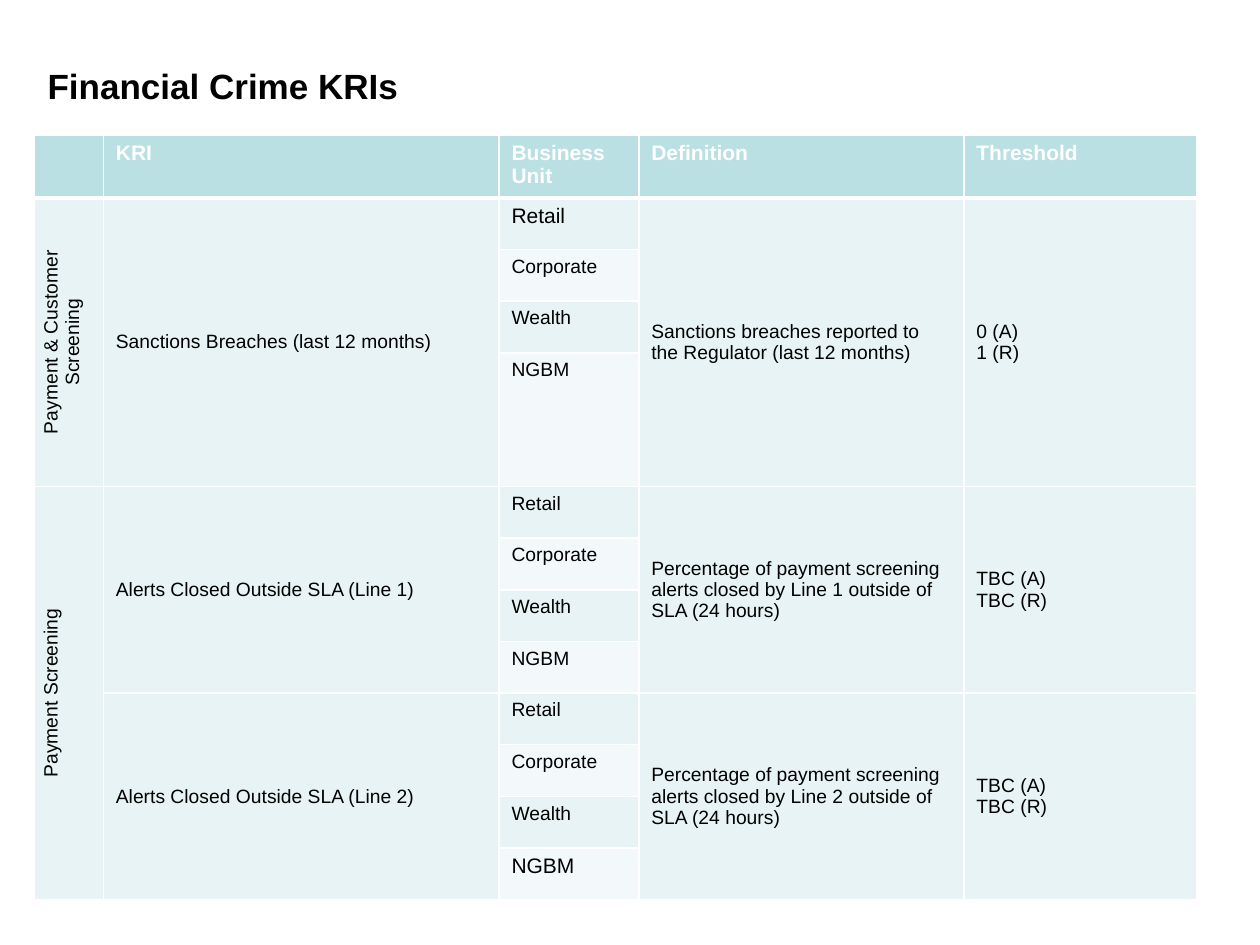
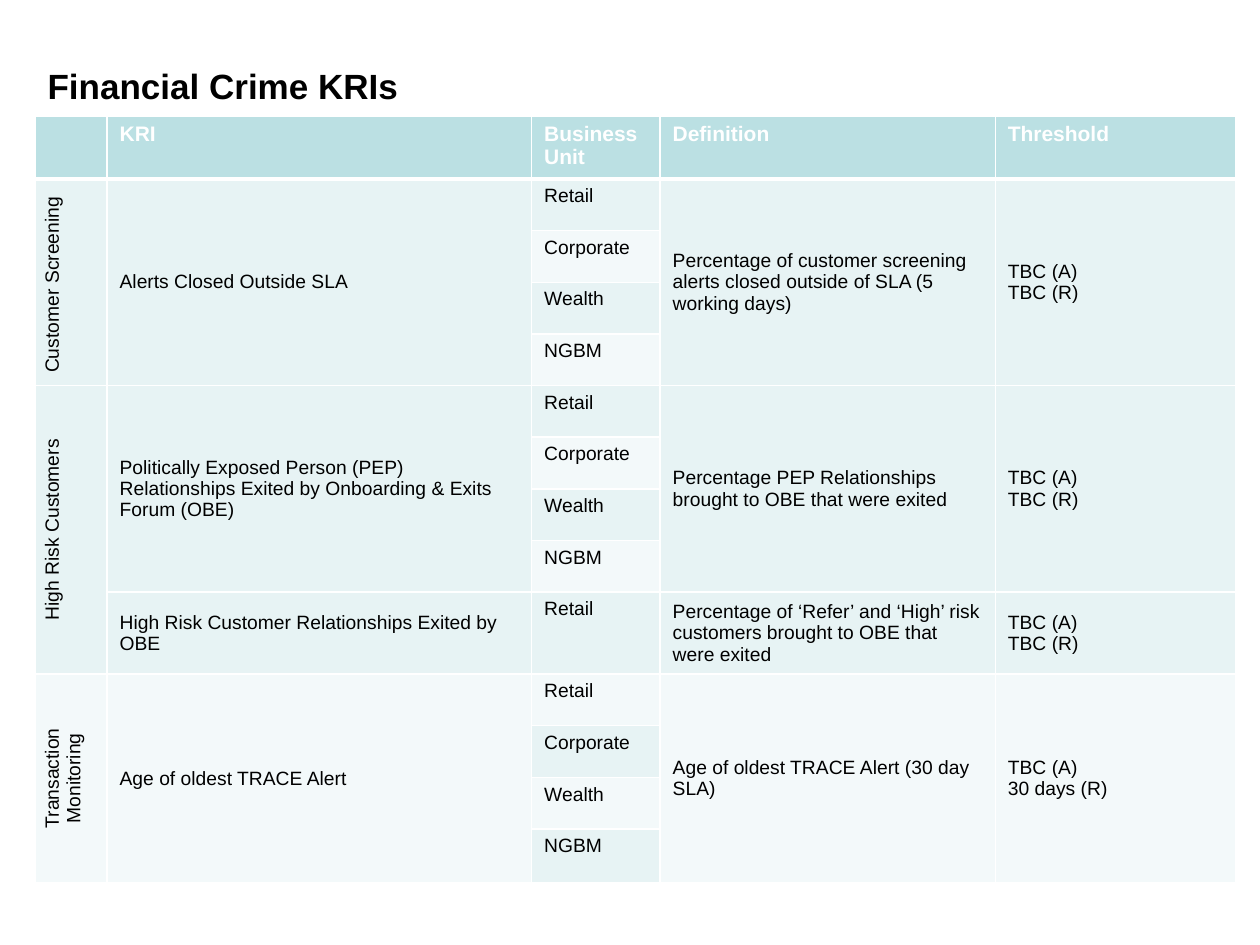
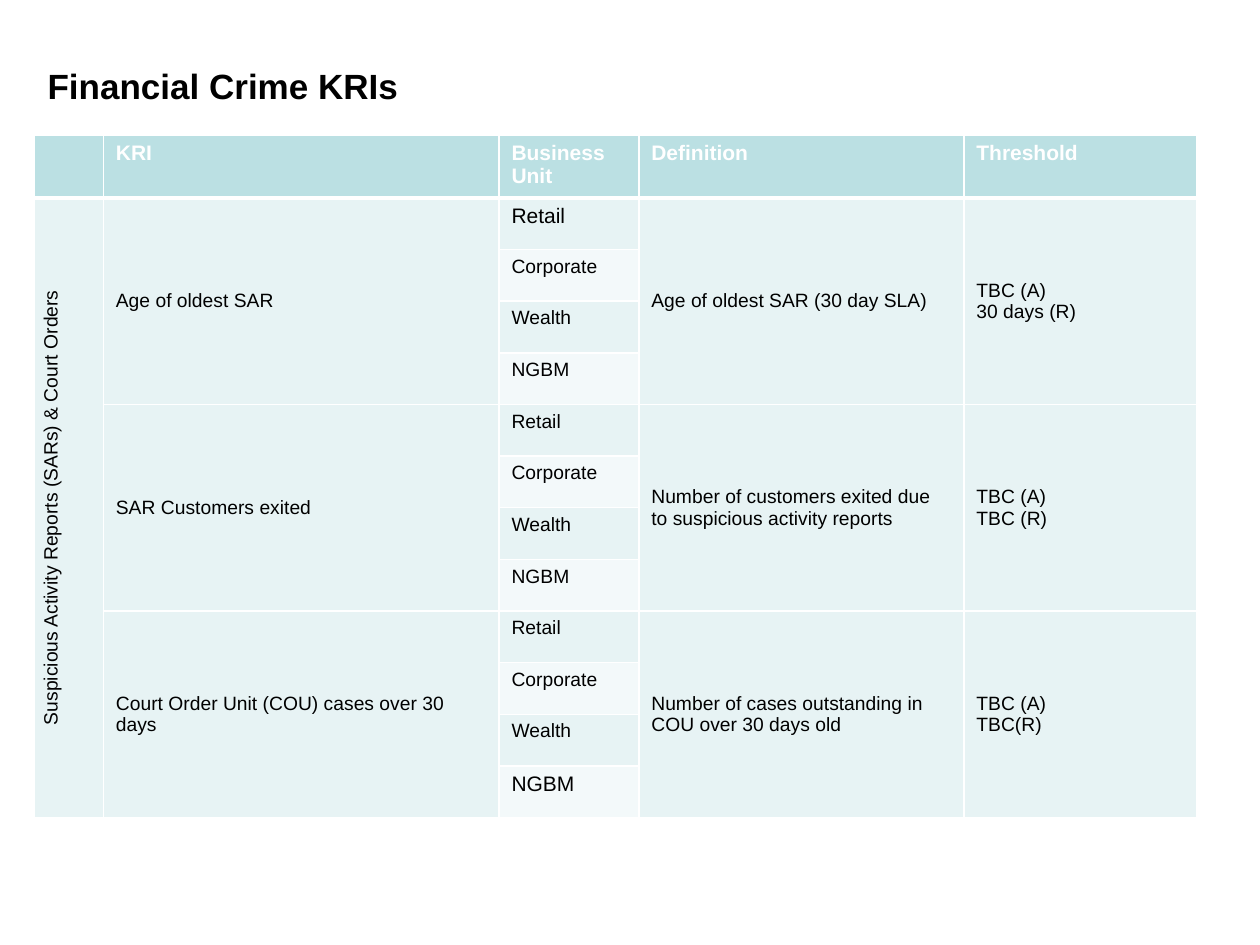
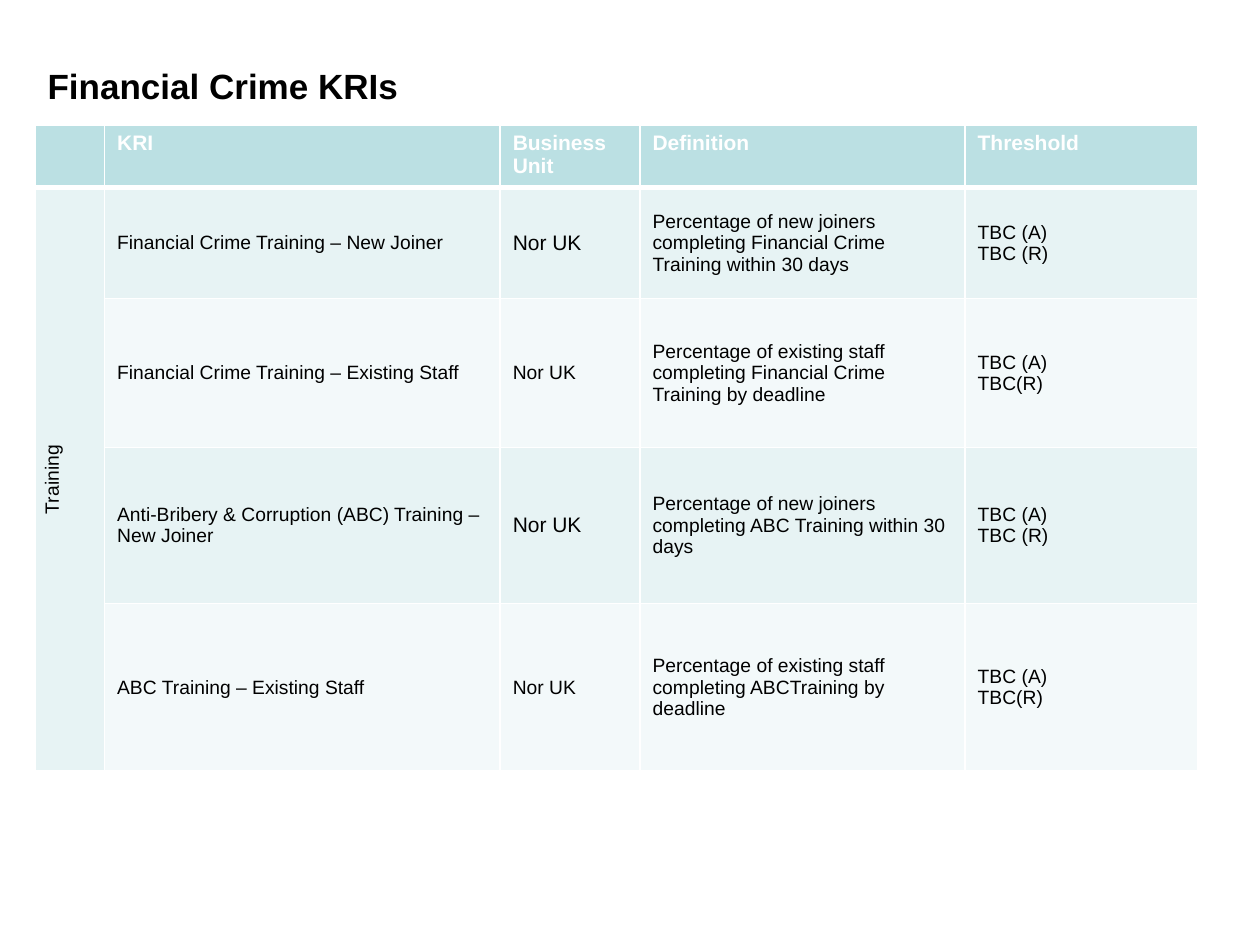
import collections

import lxml.etree
import pptx
import pptx.dml.color
import pptx.enum.text
import pptx.oxml.ns
import pptx.util

Inches = pptx.util.Inches
Pt = pptx.util.Pt
RGBColor = pptx.dml.color.RGBColor
Align = pptx.enum.text.PP_ALIGN
Anchor = pptx.enum.text.MSO_ANCHOR

BLACK = RGBColor(0x00, 0x00, 0x00)
WHITE = RGBColor(0xFF, 0xFF, 0xFF)
HEADER_FILL = RGBColor(0xBB, 0xE0, 0xE3)
ODD_FILL = RGBColor(0xE7, 0xF3, 0xF4)
EVEN_FILL = RGBColor(0xF3, 0xF9, 0xFA)

FONT = "Arial"
TITLE = "Financial Crime KRIs"
TITLE_BOX = (0.28, 0.44, 9.23, 0.47)
HEADERS = ("", "KRI", "Business Unit", "Definition", "Threshold")
COLUMNS = (0.55, 3.14, 1.11, 2.58, 1.85)
WIDE_COLUMNS = (0.57, 3.37, 1.02, 2.66, 1.91)
ROW = 0.41
UNITS = ("Retail", "Corporate", "Wealth", "NGBM")
COMPANY = ("Nor UK",)
TBC = ("TBC (A)", "TBC (R)")
TBC_TIGHT = ("TBC (A)", "TBC(R)")
MONTH = ("TBC (A)", "30 days (R)")

Indicator = collections.namedtuple("Indicator", "name units definition threshold")
Section = collections.namedtuple("Section", "name indicators align", defaults=(Align.CENTER,))
Page = collections.namedtuple(
    "Page", "left top columns rows sections large_rows unit_anchor", defaults=((), Anchor.TOP))

PAGES = (
    Page(0.27, 1.07, COLUMNS, (ROW,) * 13, (
        Section("Payment & Customer Screening", (
            Indicator("Sanctions Breaches (last 12 months)", UNITS,
                      "Sanctions breaches reported to the Regulator (last 12 months)",
                      ("0 (A)", "1 (R)")),)),
        Section("Payment Screening", tuple(
            Indicator(f"Alerts Closed Outside SLA (Line {line})", UNITS,
                      f"Percentage of payment screening alerts closed by Line {line} "
                      "outside of SLA (24 hours)", TBC)
            for line in (1, 2))),
    ), (1, 12)),
    Page(0.28, 0.92, WIDE_COLUMNS, (ROW,) * 14, (
        Section("Customer Screening", (
            Indicator("Alerts Closed Outside SLA", UNITS,
                      "Percentage of customer screening alerts closed outside of SLA "
                      "(5 working days)", TBC),), Align.LEFT),
        Section("High Risk Customers", (
            Indicator("Politically Exposed Person (PEP) Relationships Exited by "
                      "Onboarding & Exits Forum (OBE)", UNITS,
                      "Percentage PEP Relationships brought to OBE that were exited", TBC),
            Indicator("High Risk Customer Relationships Exited by OBE", UNITS[:1],
                      "Percentage of ‘Refer’ and ‘High’ risk customers brought to OBE "
                      "that were exited", TBC))),
        Section("Transaction Monitoring", (
            Indicator("Age of oldest TRACE Alert", UNITS,
                      "Age of oldest TRACE Alert (30 day SLA)", MONTH),)),
    )),
    Page(0.27, 1.07, COLUMNS, (ROW,) * 13, (
        Section("Suspicious Activity Reports (SARs) & Court Orders", (
            Indicator("Age of oldest SAR", UNITS, "Age of oldest SAR (30 day SLA)", MONTH),
            Indicator("SAR Customers exited", UNITS,
                      "Number of customers exited due to suspicious activity reports", TBC),
            Indicator("Court Order Unit (COU) cases over 30 days", UNITS,
                      "Number of cases outstanding in COU over 30 days old", TBC_TIGHT))),
    ), (1, 12)),
    Page(0.28, 0.99, COLUMNS, (0.49, 0.88, 1.18, 1.24, 1.33), (
        Section("Training", (
            Indicator("Financial Crime Training – New Joiner", COMPANY,
                      "Percentage of new joiners completing Financial Crime Training "
                      "within 30 days", TBC),
            Indicator("Financial Crime Training – Existing Staff", COMPANY,
                      "Percentage of existing staff completing Financial Crime Training "
                      "by deadline", TBC_TIGHT),
            Indicator("Anti-Bribery & Corruption (ABC) Training – New Joiner", COMPANY,
                      "Percentage of new joiners completing ABC Training within 30 days", TBC),
            Indicator("ABC Training – Existing Staff", COMPANY,
                      "Percentage of existing staff completing ABCTraining by deadline",
                      TBC_TIGHT))),
    ), (1, 3), Anchor.MIDDLE),
)


def write_lines(text_frame, lines, size, color=BLACK, bold=False, align=Align.LEFT):
    """Write each line as a paragraph holding one styled run."""
    for index, line in enumerate(lines):
        paragraph = text_frame.add_paragraph() if index else text_frame.paragraphs[0]
        paragraph.alignment = align
        run = paragraph.add_run()
        run.text = line
        run.font.name = FONT
        run.font.size = Pt(size)
        run.font.bold = bold
        run.font.color.rgb = color


def add_title(slide, box):
    """Place the slide title in the given box."""
    shape = slide.shapes.add_textbox(*map(Inches, box))
    shape.text_frame.word_wrap = True
    shape.text_frame.vertical_anchor = Anchor.MIDDLE
    write_lines(shape.text_frame, [TITLE], 20, bold=True)


def style_cell(cell, row):
    """Give a cell white borders and the fill of its row."""
    properties = cell._tc.get_or_add_tcPr()
    widths = {"lnL": 1, "lnR": 1, "lnT": 3 if row == 1 else 1, "lnB": 1 if row else 3}
    for name, width in widths.items():
        line = lxml.etree.SubElement(properties, pptx.oxml.ns.qn(f"a:{name}"), w=str(Pt(width)))
        fill = lxml.etree.SubElement(line, pptx.oxml.ns.qn("a:solidFill"))
        lxml.etree.SubElement(fill, pptx.oxml.ns.qn("a:srgbClr"), val=str(WHITE))
    cell.fill.solid()
    cell.fill.fore_color.rgb = (EVEN_FILL if row % 2 == 0 else ODD_FILL) if row else HEADER_FILL


def merge_down(table, row, column, count):
    """Join a run of cells in one column and return the first."""
    cell = table.cell(row, column)
    if count > 1:
        cell.merge(table.cell(row + count - 1, column))
    return cell


def fill_indicator(table, page, row, indicator):
    """Fill the rows of one indicator, starting at the given row."""
    count = len(indicator.units)
    texts = {1: [indicator.name], 3: [indicator.definition], 4: indicator.threshold}
    for column, lines in texts.items():
        cell = merge_down(table, row, column, count)
        cell.vertical_anchor = Anchor.MIDDLE
        write_lines(cell.text_frame, lines, 11)
    for unit_row, unit in enumerate(indicator.units, row):
        cell = table.cell(unit_row, 2)
        cell.vertical_anchor = page.unit_anchor
        write_lines(cell.text_frame, [unit], 12 if unit_row in page.large_rows else 11)


def add_indicator_table(slide, page):
    """Place the table of one page with its sections and indicators."""
    box = (page.left, page.top, sum(page.columns), sum(page.rows))
    frame = slide.shapes.add_table(len(page.rows), len(page.columns), *map(Inches, box))
    table = frame.table
    for column, width in zip(table.columns, page.columns):
        column.width = Inches(width)
    for index, height in enumerate(page.rows):
        table.rows[index].height = Inches(height)
        for cell in table.rows[index].cells:
            style_cell(cell, index)
    for column, header in enumerate(HEADERS):
        if header:
            write_lines(table.cell(0, column).text_frame, [header], 12, WHITE, True)
    row = 1
    for section in page.sections:
        count = sum(len(indicator.units) for indicator in section.indicators)
        cell = merge_down(table, row, 0, count)
        cell._tc.get_or_add_tcPr().set("vert", "vert270")
        write_lines(cell.text_frame, [section.name], 11, align=section.align)
        for indicator in section.indicators:
            fill_indicator(table, page, row, indicator)
            row += len(indicator.units)


def build():
    """Build the presentation and save it."""
    presentation = pptx.Presentation()
    presentation.slide_width = Inches(10)
    presentation.slide_height = Inches(7.5)
    for page in PAGES:
        slide = presentation.slides.add_slide(presentation.slide_layouts[6])
        add_title(slide, TITLE_BOX)
        add_indicator_table(slide, page)
    presentation.save("out.pptx")


build()
